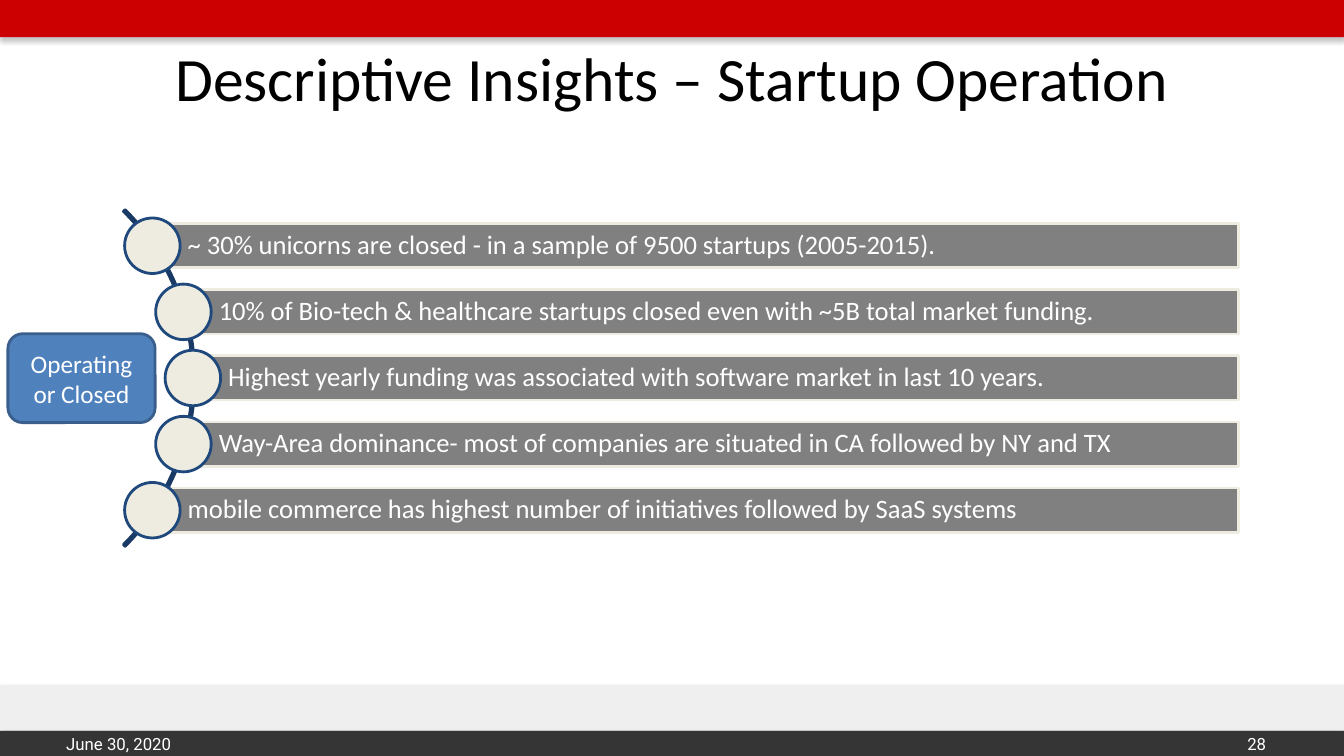
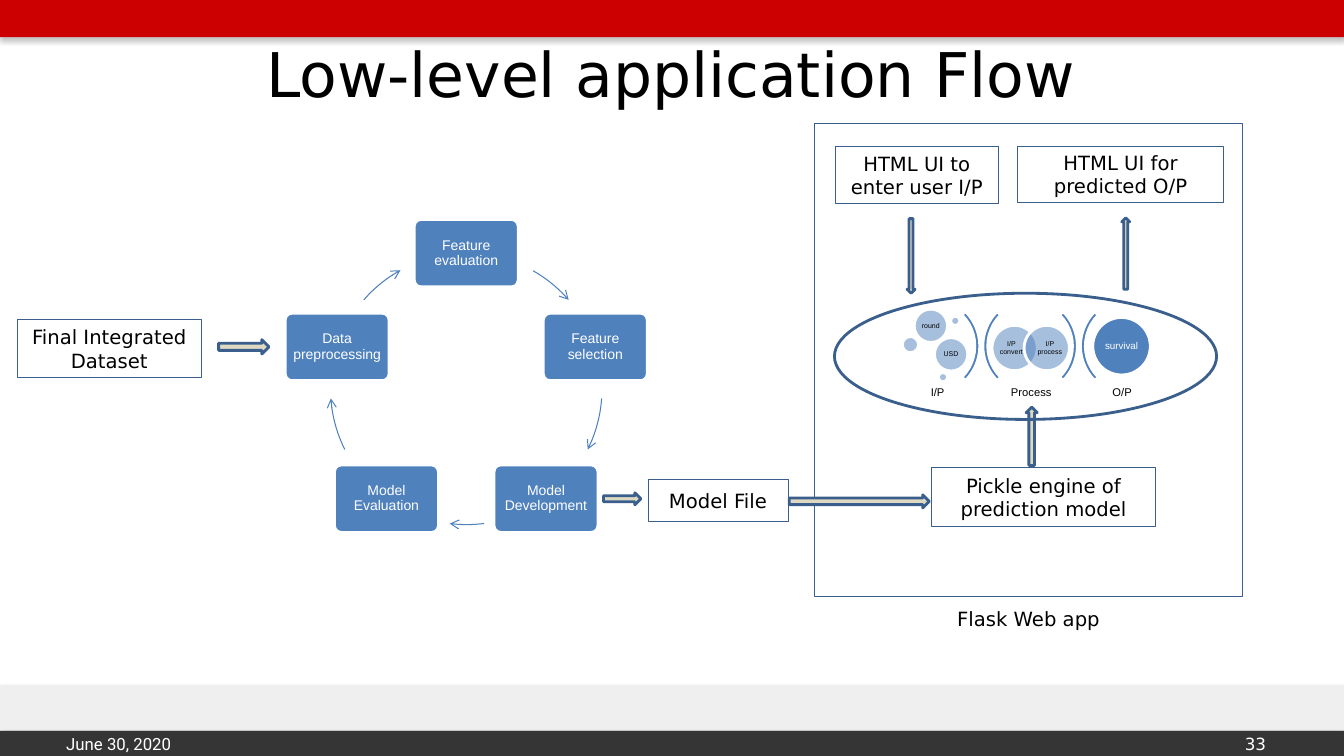
import math

from lxml import etree
from pptx import Presentation
from pptx import util as u
from pptx.dml import color
from pptx.enum import shapes, text
from pptx.oxml import ns

KIND = shapes.MSO_SHAPE
COLORS = {
    "red": "CC0000", "dark": "353535", "pale": "EFEFEF", "white": "FFFFFF",
    "black": "000000", "gray": "808080", "cream": "EEECE1", "sand": "DDD9C3",
    "blue": "4F81BD", "edge": "3A5F8C", "navy": "1F497D", "arc": "193A64",
}
WIDTH, HEIGHT = 33.87, 19.05
SANS = "DejaVu Sans"
LEFT, CENTER, RIGHT = (text.PP_ALIGN.LEFT, text.PP_ALIGN.CENTER,
                       text.PP_ALIGN.RIGHT)
WIDE_MARGINS = (0.25, 0.13, 0.25, 0.13)
NO_MARGINS = (0, 0, 0, 0)


def rgb(name):
    return color.RGBColor.from_string(COLORS[name])


def add_child(parent, tag, **attributes):
    return etree.SubElement(parent, ns.qn(tag), attributes)


def write(shape, words, size, font, ink="black", align=CENTER,
          margins=WIDE_MARGINS, spacing=None):
    frame = shape.text_frame
    frame.text = words
    frame.word_wrap = True
    frame.auto_size = text.MSO_AUTO_SIZE.NONE
    frame.vertical_anchor = text.MSO_ANCHOR.MIDDLE
    (frame.margin_left, frame.margin_top,
     frame.margin_right, frame.margin_bottom) = map(u.Cm, margins)
    para = frame.paragraphs[0]
    para.alignment = align
    para.line_spacing = spacing
    para.font.size = u.Pt(size)
    para.font.name = font
    para.font.color.rgb = rgb(ink)


def add_shape(page, kind, box, fill=None, line=None, weight=2):
    shape = page.shapes.add_shape(kind, *map(u.Cm, box))
    shape.shadow.inherit = False
    if fill:
        shape.fill.solid()
        shape.fill.fore_color.rgb = rgb(fill)
    else:
        shape.fill.background()
    if line:
        shape.line.color.rgb = rgb(line)
        shape.line.width = u.Pt(weight)
    else:
        shape.line.fill.background()
    return shape


def add_label(page, box, words, size, font, **style):
    label = page.shapes.add_textbox(*map(u.Cm, box))
    write(label, words, size, font, **style)


def add_arc(page, box, angles, thickness, **style):
    arc = add_shape(page, KIND.BLOCK_ARC, box, **style)
    for index, value in enumerate((*angles, thickness)):
        arc.adjustments[index] = value
    return arc


# Shared bands, date, title and page number

def dress_layout(layout, page):
    """Draw the shared parts on a page, then move them into its layout."""
    for holder in list(layout.placeholders):
        if holder.placeholder_format.type != shapes.PP_PLACEHOLDER.TITLE:
            layout.shapes.element.remove(holder.element)
    bands = (("pale", 17.27, 1.14), ("dark", 18.42, 0.63), ("red", 0, 0.94))
    for fill, top, height in bands:
        band = add_shape(page, KIND.RECTANGLE, (0, top, WIDTH, height), fill)
        effects = band.element.spPr.find(ns.qn("a:effectLst"))
        shadow = add_child(effects, "a:outerShdw", blurRad=str(u.Pt(4)),
                           dist=str(u.Pt(2)), dir="5400000", rotWithShape="0")
        tint = add_child(shadow, "a:srgbClr", val="666666")
        add_child(tint, "a:alpha", val="40000")
    add_label(page, (1.42, 18.42, 8.43, 0.63), "June 30, 2020", 12, "Roboto",
              ink="white", align=LEFT)
    for shape in list(page.shapes):
        if not shape.is_placeholder:
            layout.shapes.element.append(shape.element)


def head_page(page, title, box, title_font, number, number_font):
    holder = page.shapes.title
    holder.left, holder.top, holder.width, holder.height = map(u.Cm, box)
    write(holder, title, 44, title_font)
    add_label(page, (28.12, 18.42, 4.04, 0.63), number, 12, number_font,
              ink="white", align=RIGHT)


# Insights: bars fanned along an arc

def draw_fan(page, box, items):
    left, top, width, height = box
    middle = top + height / 2
    pitch = height / len(items)
    bar, dot = 0.67 * pitch, 0.84 * pitch
    axis, trail, radius = left - 0.505 * height, 0.714 * height, 0.72 * height
    add_arc(page, (axis - radius, middle - radius, 2 * radius, 2 * radius),
            (189, 27), 0.005, line="arc")
    for index, words in enumerate(items):
        y = top + (index + 0.5) * pitch
        x = axis + math.sqrt(trail ** 2 - (y - middle) ** 2)
        strip = add_shape(page, KIND.RECTANGLE,
                          (x, y - bar / 2, left + width - x, bar),
                          "gray", "cream")
        write(strip, words, 19, "Calibri", "white", LEFT,
              (0.89, 0.13, 0.13, 0.13), 0.9)
        add_shape(page, KIND.OVAL, (x - dot / 2, y - dot / 2, dot, dot),
                  "cream", "navy")


def build_insights(page):
    head_page(page, "Descriptive Insights – Startup Operation",
              (1.7, 0.81, 30.48, 2.24), "Calibri", "28", "Roboto")
    draw_fan(page, (3.12, 5.36, 28.1, 8.33), (
        "~ 30% unicorns are closed - in a sample of 9500 startups (2005-2015).",
        "10% of Bio-tech & healthcare startups closed even with ~5B total market funding.",
        "Highest yearly funding was associated with software market in last 10 years.",
        "Way-Area dominance- most of companies are situated in CA followed by NY and TX",
        "mobile commerce has highest number of initiatives followed by SaaS systems",
    ))
    topic = add_shape(page, KIND.FLOWCHART_ALTERNATE_PROCESS,
                      (0.2, 8.41, 3.71, 2.24), "blue", "edge")
    write(topic, "Operating or Closed", 18, "Calibri", "white")


# Application flow

def draw_cycle(page, box, steps):
    """Place steps clockwise from the top; each has the span of its arrow."""
    left, top, size = box
    radius = size / 2
    node_width, node_height = 2.62, 1.7

    def on_ring(degrees):
        angle = math.radians(degrees - 90)
        return (left + radius * (1 + math.cos(angle)),
                top + radius * (1 + math.sin(angle)))

    for index, (words, start, end) in enumerate(steps):
        turn = index * 360 / len(steps)
        x, y = on_ring(turn)
        node = add_shape(page, KIND.ROUNDED_RECTANGLE,
                         (x - node_width / 2, y - node_height / 2,
                          node_width, node_height), "blue", "white")
        node.adjustments[0] = 0.1
        write(node, words, 10, "Arial", "white", margins=(0.05,) * 4,
              spacing=0.9)
        points = [tuple(map(u.Cm, on_ring(turn + start + (end - start) * k / 12)))
                  for k in range(13)]
        builder = page.shapes.build_freeform(*points[0])
        builder.add_line_segments(points[1:], close=False)
        curve = builder.convert_to_shape()
        curve.shadow.inherit = False
        curve.fill.background()
        curve.line.color.rgb = rgb("blue")
        curve.line.width = u.Pt(0.75)
        add_child(curve.line._get_or_add_ln(), "a:tailEnd", type="arrow")


def draw_pipeline(page, left, top):
    # Brackets between the three stages
    size = 2.46
    for step in range(2):
        for shift, turn in ((0, 90), (2.54, 270)):
            bracket = add_arc(page, (left + step * size + shift, top, size, size),
                              (135, 189), 0.05, fill="blue", line="white")
            bracket.rotation = turn
    for x, words in ((0.46, "I/P"), (2.82, "Process"), (5.11, "O/P")):
        add_label(page, (left + x, top + 2.16, 1.88, 0.48), words, 8, "Arial",
                  margins=(0.08,) * 4, spacing=0.9)
    # Translucent bubbles
    bubbles = (
        (2.77, 0.71, 1.14, "I/P convert", (0, 0, 0.16, 0)),
        (3.58, 0.71, 1.14, "I/P process", (0.16, 0, 0, 0)),
        (0.81, 0.3, 0.84, "round", NO_MARGINS),
        (0.51, 0.99, 0.41, "", NO_MARGINS),
        (1.73, 0.48, 0.23, "", NO_MARGINS),
        (1.32, 1.02, 0.84, "USD", NO_MARGINS),
        (1.42, 1.9, 0.23, "", NO_MARGINS),
    )
    for x, y, diameter, words, margins in bubbles:
        bubble = add_shape(page, KIND.OVAL,
                           (left + x, top + y, diameter, diameter),
                           "blue", "white")
        tint = bubble.element.spPr.find(
            ns.qn("a:solidFill")).find(ns.qn("a:srgbClr"))
        add_child(tint, "a:alpha", val="50000")
        if words:
            write(bubble, words, 5, "Arial", margins=margins, spacing=0.9)
    result = add_shape(page, KIND.OVAL, (left + 5.31, top + 0.51, 1.45, 1.45),
                       "blue", "white")
    write(result, "survival", 7, "Arial", "white", margins=NO_MARGINS,
          spacing=0.9)


def add_frames(page, frames):
    for box, words in frames:
        frame = add_shape(page, KIND.RECTANGLE, box, line="edge", weight=0.5)
        write(frame, words, 14, SANS)


def add_arrows(page, arrows):
    for kind, box in arrows:
        add_shape(page, kind, box, "sand", "edge")


def draw_web_app(page, box):
    left, top, width, height = box

    def inside(x, y, part_width, part_height):
        return left + x, top + y, part_width, part_height

    add_shape(page, KIND.RECTANGLE, box, line="edge", weight=0.5)
    add_label(page, (left, top + height + 0.2, width, 0.71),
              "Flask Web app", 14, SANS)
    add_frames(page, (
        (inside(0.53, 0.6, 4.11, 1.42), "HTML UI to enter user I/P"),
        (inside(5.13, 0.58, 5.18, 1.42), "HTML UI for predicted O/P"),
        (inside(2.95, 8.69, 5.66, 1.47), "Pickle engine of prediction model"),
    ))
    draw_pipeline(page, left + 1.71, top + 4.39)
    add_arrows(page, (
        (KIND.UP_ARROW, inside(5.34, 7.16, 0.28, 1.47)),
        (KIND.DOWN_ARROW, inside(2.34, 2.41, 0.2, 1.88)),
        (KIND.UP_ARROW, inside(7.75, 2.39, 0.2, 1.8)),
    ))
    add_shape(page, KIND.OVAL, inside(0.51, 4.29, 9.63, 3.18), line="edge")


def build_flow(page):
    head_page(page, "Low-level application Flow",
              (1.68, 0.94, 30.48, 1.78), SANS, "33", SANS)
    draw_cycle(page, (8.33, 6.38, 6.84), (
        ("Feature evaluation", 29.5, 49),
        ("Feature selection", 22, 44.5),
        ("Model Development", 28.5, 43),
        ("Model Evaluation", 27.5, 50),
        ("Data preprocessing", 23, 43),
    ))
    add_frames(page, (
        ((0.43, 8.05, 4.65, 1.47), "Final Integrated Dataset"),
        ((16.33, 12.07, 3.53, 1.07), "Model File"),
    ))
    draw_web_app(page, (20.52, 3.1, 10.8, 11.94))
    add_arrows(page, (
        (KIND.RIGHT_ARROW, (5.51, 8.56, 1.27, 0.36)),
        (KIND.RIGHT_ARROW, (15.21, 12.42, 0.94, 0.3)),
        (KIND.RIGHT_ARROW, (19.89, 12.47, 3.53, 0.33)),
    ))


def main():
    deck = Presentation()
    deck.slide_width, deck.slide_height = u.Cm(WIDTH), u.Cm(HEIGHT)
    layout = deck.slide_layouts[5]
    insights, flow = (deck.slides.add_slide(layout) for _ in range(2))
    dress_layout(layout, insights)
    build_insights(insights)
    build_flow(flow)
    deck.save("out.pptx")


if __name__ == "__main__":
    main()
